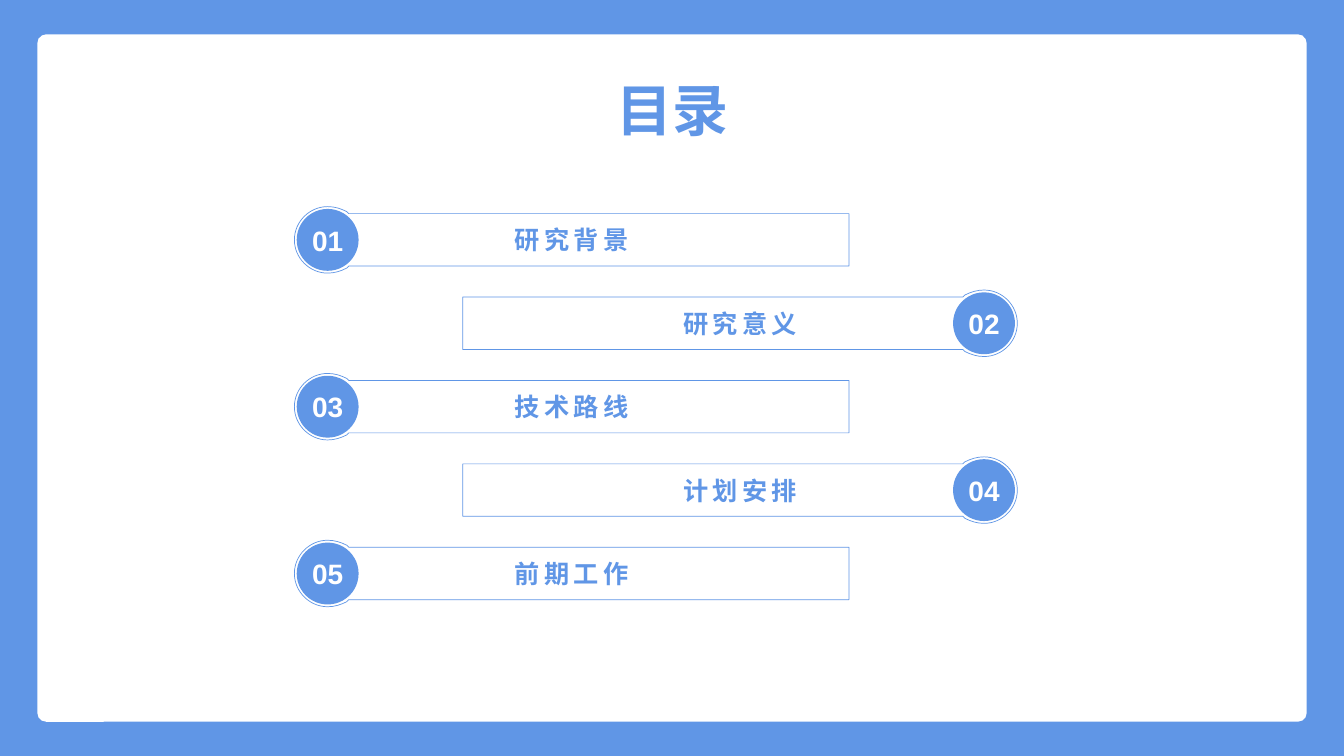
from itertools import chain

from pptx import Presentation
from pptx.dml.color import RGBColor
from pptx.enum.shapes import MSO_SHAPE as Shape
from pptx.enum.text import MSO_ANCHOR as Anchor, MSO_AUTO_SIZE as AutoSize, PP_ALIGN as Align
from pptx.oxml.ns import qn
from pptx.util import Inches, Pt

COLORS = {"blue": "6096E6", "white": "FFFFFF"}
CHINESE_FONT = "Noto Sans CJK SC"
TOPICS = ["研究背景", "研究意义", "技术路线", "计划安排", "前期工作"]
LEFT_CENTER, RIGHT_CENTER = 3.25, 9.76
FIRST_ROW, ROW_STEP = 2.38, 0.8275
DISC_RADIUS = 0.3
# Offsets from the ring centre; one point is a line, three points are a curve.
BANNER_START = (0, -0.33)
BANNER_SEGMENTS = [
    [(0.07, -0.33), (0.13, -0.31), (0.19, -0.28)],
    [(0.21, -0.26)],
    [(5.17, -0.26)],
    [(5.17, 0.26)],
    [(0.21, 0.26)],
    [(0.19, 0.28)],
    [(0.13, 0.31), (0.07, 0.33), (0, 0.33)],
    [(-0.18, 0.33), (-0.33, 0.18), (-0.33, 0)],
    [(-0.33, -0.18), (-0.18, -0.33), BANNER_START],
]


def rgb(name):
    return RGBColor.from_string(COLORS[name])


def write_text(shape, text, size, color="blue", font=CHINESE_FONT, spacing=None,
               margin=None, wrap=True, anchor=Anchor.MIDDLE):
    frame = shape.text_frame
    frame.word_wrap = wrap
    frame.vertical_anchor = anchor
    if margin is not None:
        frame.margin_left = frame.margin_right = Inches(margin)
        frame.margin_top = frame.margin_bottom = Inches(margin)
    paragraph = frame.paragraphs[0]
    paragraph.alignment = Align.CENTER
    run = paragraph.add_run()
    run.text = text
    run.font.size = Pt(size)
    run.font.bold = True
    run.font.name = font
    run.font.color.rgb = rgb(color)
    properties = run.font._element
    east_asian = properties.makeelement(qn("a:ea"), {"typeface": font})
    properties.append(east_asian)
    if spacing is not None:
        properties.set("spc", str(spacing * 100))


def style_shape(shape, fill=None, line=None, line_width=1):
    shape.shadow.inherit = False
    if fill:
        shape.fill.solid()
        shape.fill.fore_color.rgb = rgb(fill)
    else:
        shape.fill.background()
    if line:
        shape.line.color.rgb = rgb(line)
        shape.line.width = Pt(line_width)
    else:
        shape.line.fill.background()


def add_preset(slide, kind, left, top, width, height, **style):
    shape = slide.shapes.add_shape(
        kind, Inches(left), Inches(top), Inches(width), Inches(height))
    style_shape(shape, **style)
    return shape


def add_text(slide, text, left, top, width, height, **text_format):
    box = slide.shapes.add_textbox(
        Inches(left), Inches(top), Inches(width), Inches(height))
    write_text(box, text, margin=0, **text_format)
    return box


def bend_curves(shape, segments):
    """Merge the lines of each three-point segment into one Bezier curve."""
    lines = iter(list(shape._element.iter(qn("a:lnTo"))))
    for segment in segments:
        first, *others = [next(lines) for _ in segment]
        for line in others:
            first.append(line[0])
            line.getparent().remove(line)
        if others:
            first.tag = qn("a:cubicBezTo")


def add_banner(slide, topic, center_x, center_y, direction):
    """Outline a ring joined to a bar that runs right (1) or left (-1)."""
    def place(offset):
        return Inches(center_x + direction * offset[0]), Inches(center_y + offset[1])

    builder = slide.shapes.build_freeform(*place(BANNER_START))
    points = [place(offset) for offset in chain.from_iterable(BANNER_SEGMENTS)]
    builder.add_line_segments(points, close=True)
    banner = builder.convert_to_shape()
    bend_curves(banner, BANNER_SEGMENTS)
    style_shape(banner, line="blue", line_width=0.5)
    write_text(banner, topic, size=18, spacing=3)


def add_badge(slide, number, center_x, center_y):
    add_preset(slide, Shape.OVAL, center_x - DISC_RADIUS, center_y - DISC_RADIUS,
               2 * DISC_RADIUS, 2 * DISC_RADIUS, fill="blue", line="blue")
    add_text(slide, f"{number:02d}", center_x - 0.27, center_y - 0.2, 0.54, 0.4,
             size=20, color="white", font="Arial")


def main():
    presentation = Presentation()
    presentation.slide_width = Inches(13.33)
    presentation.slide_height = Inches(7.5)
    slide = presentation.slides.add_slide(presentation.slide_layouts[6])

    add_preset(slide, Shape.RECTANGLE, 0, 0, 13.33, 7.5, fill="blue")
    panel = add_preset(slide, Shape.ROUNDED_RECTANGLE, 0.37, 0.34, 12.59, 6.82, fill="white")
    panel.adjustments[0] = 0.013
    title = add_text(slide, "目录", 6.11, 0.75, 1.12, 0.67,
                     size=40, wrap=False, anchor=Anchor.TOP)
    title.text_frame.auto_size = AutoSize.SHAPE_TO_FIT_TEXT

    for index, topic in enumerate(TOPICS):
        center_x, direction = (RIGHT_CENTER, -1) if index % 2 else (LEFT_CENTER, 1)
        center_y = FIRST_ROW + index * ROW_STEP
        add_banner(slide, topic, center_x, center_y, direction)
        add_badge(slide, index + 1, center_x, center_y)

    presentation.save("out.pptx")


if __name__ == "__main__":
    main()
